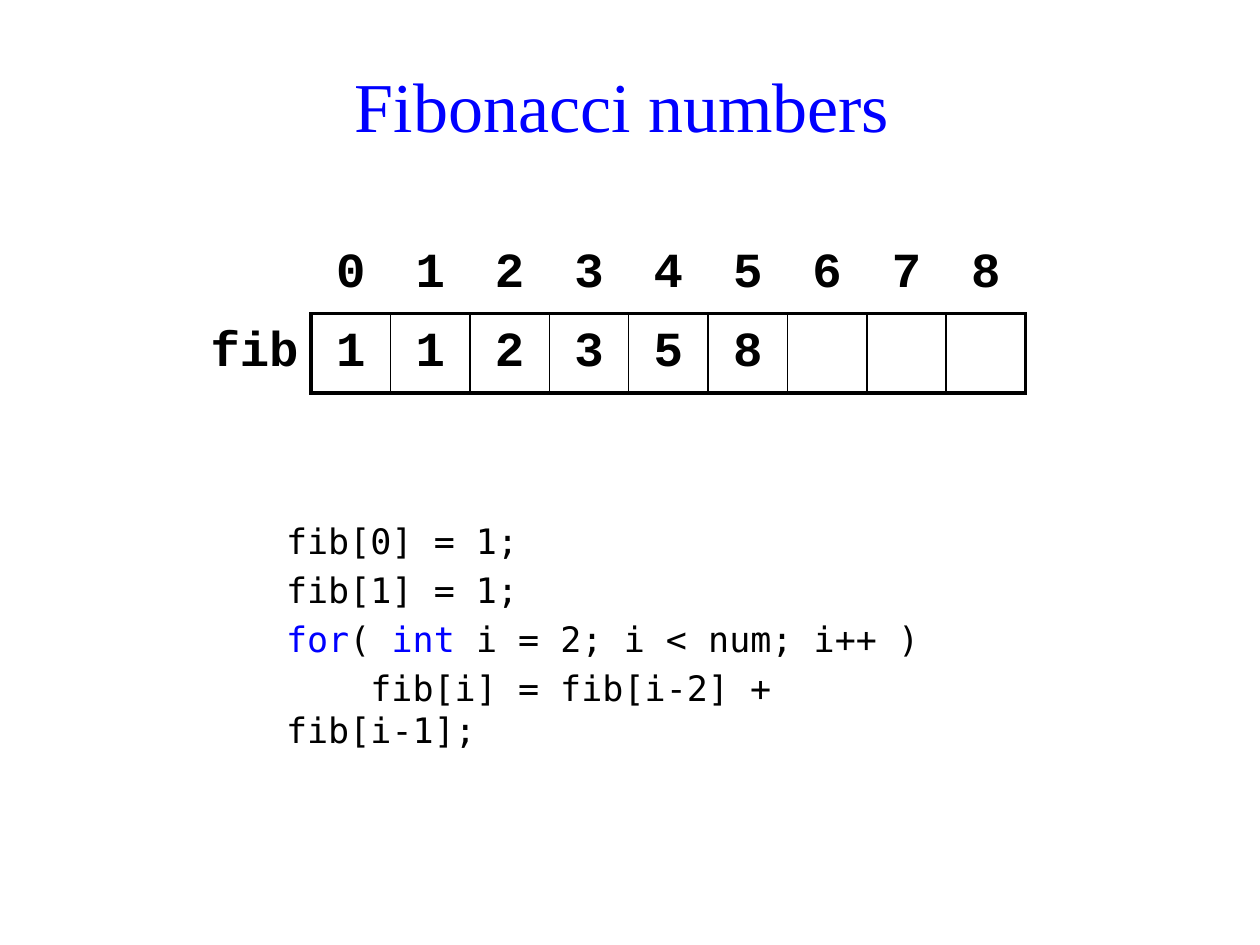
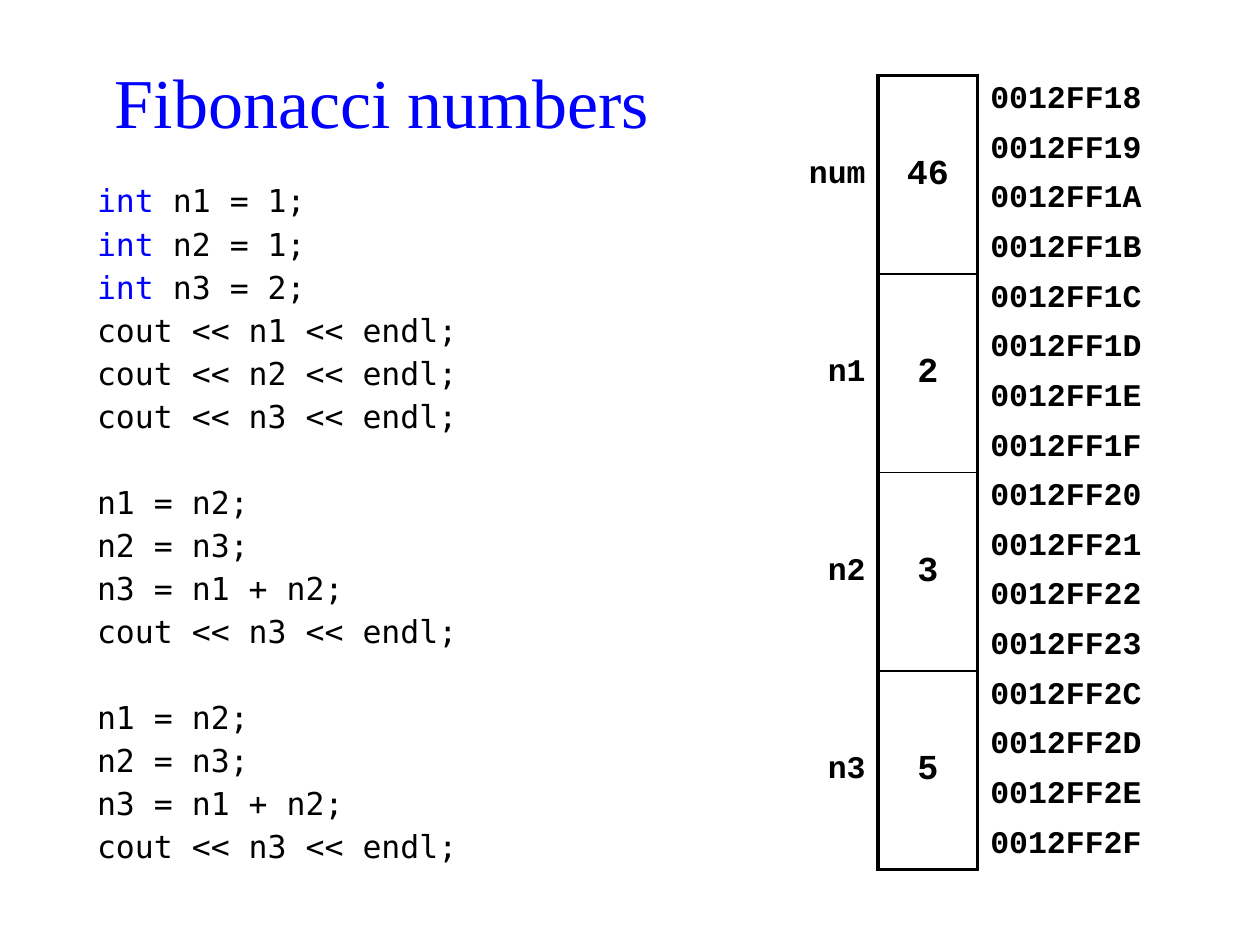
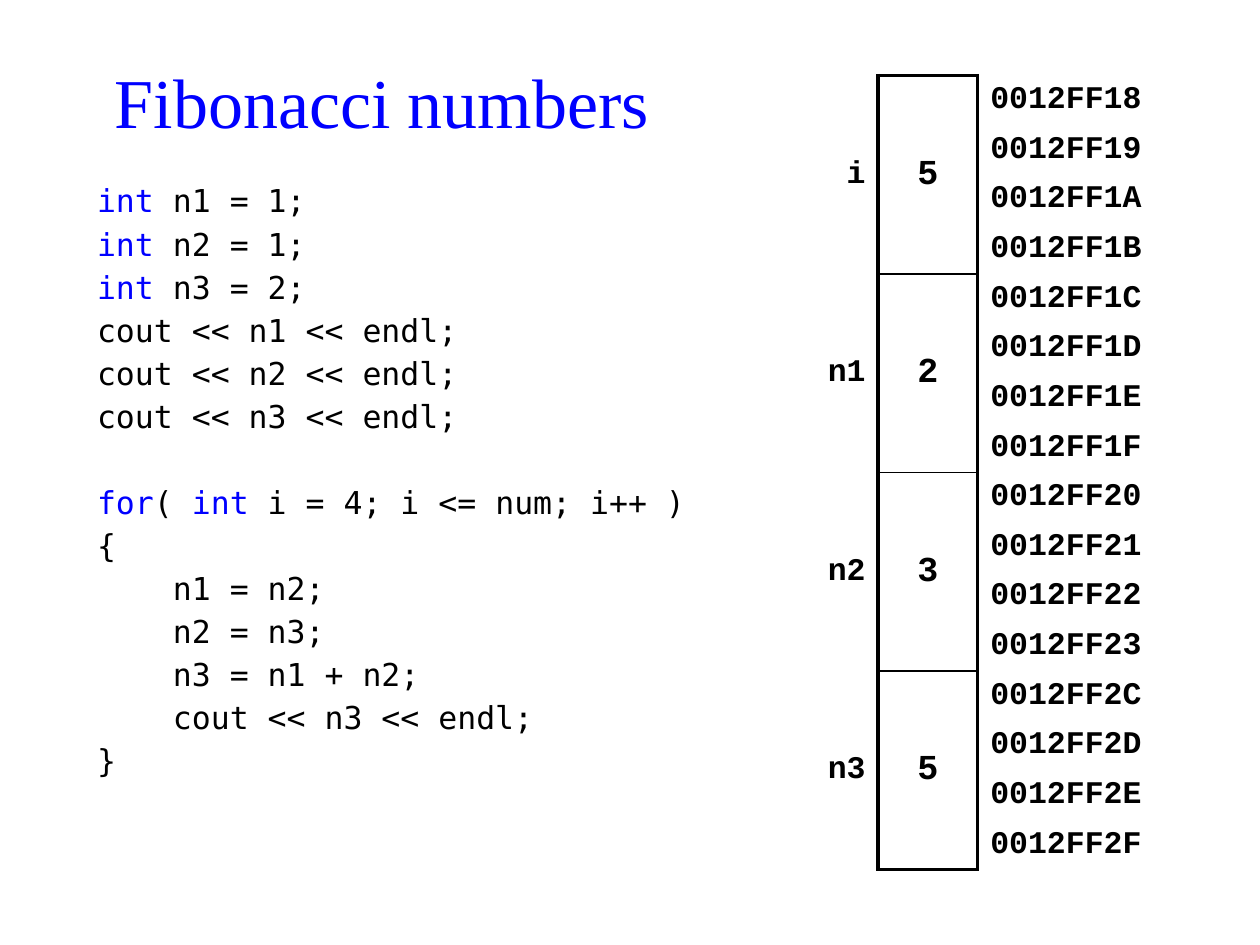
"""Build three slides on Fibonacci numbers with code and memory tables."""
from itertools import chain

from lxml import etree
from pptx import Presentation
from pptx.dml.color import RGBColor
from pptx.enum.text import MSO_ANCHOR, MSO_AUTO_SIZE, PP_ALIGN
from pptx.oxml.ns import qn
from pptx.util import Inches, Pt

LEFT, CENTER, RIGHT = PP_ALIGN.LEFT, PP_ALIGN.CENTER, PP_ALIGN.RIGHT
MIDDLE, NO_FIT = MSO_ANCHOR.MIDDLE, MSO_AUTO_SIZE.NONE
COLORS = {"text": "000000", "accent": "0000FF", "background": "FFFFFF"}
TITLE_FONT, CODE_FONT, TABLE_FONT = "Times New Roman", "DejaVu Sans Mono", "Courier New"
PLAIN_TABLE = "{2D5ABB26-0587-4C30-8999-92F81FD0307C}"
THICK, THIN = 2.25, 1
CHARACTER_WIDTH, LINE_HEIGHT = 0.602, 1.2

# Odd segments between bars are keywords.
ARRAY_CODE = [
    "fib[0] = 1;",
    "fib[1] = 1;",
    "|for|( |int| i = 2; i < num; i++ )",
    "    fib[i] = fib[i-2] + fib[i-1];",
]
START = [f"|int| n{n} = {value};" for n, value in ((1, 1), (2, 1), (3, 2))]
START += [f"cout << n{n} << endl;" for n in (1, 2, 3)]
STEP = ["n1 = n2;", "n2 = n3;", "n3 = n1 + n2;", "cout << n3 << endl;"]
LOOP = ["|for|( |int| i = 4; i <= num; i++ )", "{", *("    " + line for line in STEP), "}"]

ARRAY_VALUES = ["1", "1", "2", "3", "5", "8", "", "", ""]
NUMBERS = [("n1", "2"), ("n2", "3"), ("n3", "5")]
MEMORY_SLIDES = [
    ([*START, "", *STEP, "", *STEP], [("num", "46"), *NUMBERS]),
    ([*START, "", *LOOP], [("i", "5"), *NUMBERS]),
]
ADDRESSES = [f"{n:08X}" for n in chain(range(0x12FF18, 0x12FF24), range(0x12FF2C, 0x12FF30))]
BYTES = 4

ARRAY_TITLE, ARRAY_BODY = (0.28, 0.28, 9.45, 1.1), (2.17, 4.07, 5.67, 1.73)
MEMORY_TITLE, MEMORY_BODY = (0.67, 0.21, 4.72, 1.18), (0.67, 1.39, 4.92, 5.51)
ARRAY_ORIGIN, ARRAY_COLUMNS, ARRAY_ROW = (1.53, 1.86), [0.94] + [0.63] * 9, 0.63
MEMORY_ORIGIN, MEMORY_COLUMNS, MEMORY_HEIGHT = (6.18, 0.6), [0.79, 0.79, 1.57], 6.3


def style(font, name, size, color="text", bold=False):
    font.name, font.size, font.bold = name, Pt(size), bold
    font.color.rgb = RGBColor.from_string(COLORS[color])


def place(shape, box):
    shape.left, shape.top, shape.width, shape.height = map(Inches, box)
    shape.text_frame.auto_size = NO_FIT
    shape.text_frame.word_wrap = True


def add_slide(title, title_box, code, body_box, size, spacing):
    slide = presentation.slides.add_slide(presentation.slide_layouts[1])
    heading, body = slide.placeholders
    place(heading, title_box)
    heading.text_frame.text = title
    heading.text_frame.vertical_anchor = MIDDLE
    paragraph = heading.text_frame.paragraphs[0]
    paragraph.alignment = CENTER
    style(paragraph.font, TITLE_FONT, 40, "accent")
    place(body, body_box)
    add_code(body.text_frame, code, size, spacing)
    return slide


def add_code(frame, lines, size, spacing):
    paragraph, gap = frame.paragraphs[0], spacing
    for number, line in enumerate(lines):
        if not line:
            gap += LINE_HEIGHT * size + spacing
            continue
        if number:
            paragraph = frame.add_paragraph()
        code = line.lstrip()
        indent = (len(line) - len(code)) * CHARACTER_WIDTH * size
        properties = paragraph._p.get_or_add_pPr()
        properties.set("marL", "0")
        properties.set("indent", str(Pt(indent)))
        paragraph.space_before, gap = Pt(gap), spacing
        etree.SubElement(properties, qn("a:buNone"))
        style(paragraph.font, CODE_FONT, size)
        for index, segment in enumerate(code.split("|")):
            if segment:
                run = paragraph.add_run()
                run.text = segment
                if index % 2:
                    run.font.color.rgb = RGBColor.from_string(COLORS["accent"])


def add_table(slide, origin, columns, row_height, row_count):
    size = sum(columns), row_height * row_count
    frame = slide.shapes.add_table(row_count, len(columns), *map(Inches, origin + size))
    table = frame.table
    table.first_row = table.horz_banding = False
    table._tbl.tblPr.find(qn("a:tableStyleId")).text = PLAIN_TABLE
    for column, width in zip(table.columns, columns):
        column.width = Inches(width)
    for row in table.rows:
        row.height = Inches(row_height)
    for cell in table.iter_cells():
        cell.fill.background()
        cell.vertical_anchor = MIDDLE
        cell.margin_left = cell.margin_right = Inches(0.1)
        cell.margin_top = cell.margin_bottom = Inches(0.04)
    return table


def write(cell, text, size, alignment=CENTER):
    cell.text = text
    paragraph = cell.text_frame.paragraphs[0]
    paragraph.alignment = alignment
    style(paragraph.font, TABLE_FONT, size, bold=True)


def set_borders(cell, **widths):
    properties = cell._tc.get_or_add_tcPr()
    sides = [side for side in "LRTB" if side in widths]
    for position, side in enumerate(sides):
        line = etree.Element(qn(f"a:ln{side}"), w=str(Pt(widths[side])))
        fill = etree.SubElement(line, qn("a:solidFill"))
        etree.SubElement(fill, qn("a:srgbClr"), val=COLORS["text"])
        properties.insert(position, line)


def add_array(slide):
    table = add_table(slide, ARRAY_ORIGIN, ARRAY_COLUMNS, ARRAY_ROW, 2)
    write(table.cell(1, 0), "fib", 28, RIGHT)
    set_borders(table.cell(1, 0), R=THICK)
    last = len(ARRAY_VALUES) - 1
    for index, value in enumerate(ARRAY_VALUES):
        write(table.cell(0, index + 1), str(index), 28)
        cell = table.cell(1, index + 1)
        write(cell, value, 28)
        set_borders(cell, L=THIN if index else THICK, R=THIN if index < last else THICK,
                    T=THICK, B=THICK)


def add_memory(slide, variables):
    count = len(ADDRESSES)
    table = add_table(slide, MEMORY_ORIGIN, MEMORY_COLUMNS, MEMORY_HEIGHT / count, count)
    for row, address in enumerate(ADDRESSES):
        write(table.cell(row, 2), address, 18, LEFT)
    for index, (name, value) in enumerate(variables):
        first, last = index * BYTES, (index + 1) * BYTES - 1
        top = THIN if index else THICK
        bottom = THIN if last < count - 1 else THICK
        for row in range(first, last + 1):
            edges = {"T": top, "B": bottom} if row == first else {}
            if row == last:
                edges = {"B": bottom}
            set_borders(table.cell(row, 0), R=THICK)
            set_borders(table.cell(row, 1), L=THICK, R=THICK, **edges)
        for column, text, size, alignment in ((0, name, 18, RIGHT), (1, value, 20, CENTER)):
            cell = table.cell(first, column)
            cell.merge(table.cell(last, column))
            write(cell, text, size, alignment)


presentation = Presentation()
presentation.slide_width, presentation.slide_height = Inches(10), Inches(7.5)
background = presentation.slide_master.background.fill
background.solid()
background.fore_color.rgb = RGBColor.from_string(COLORS["background"])

add_array(add_slide("Fibonacci numbers ", ARRAY_TITLE, ARRAY_CODE, ARRAY_BODY, 20, 4))
for code, variables in MEMORY_SLIDES:
    add_memory(add_slide("Fibonacci numbers", MEMORY_TITLE, code, MEMORY_BODY, 18, 3), variables)

presentation.save("out.pptx")
